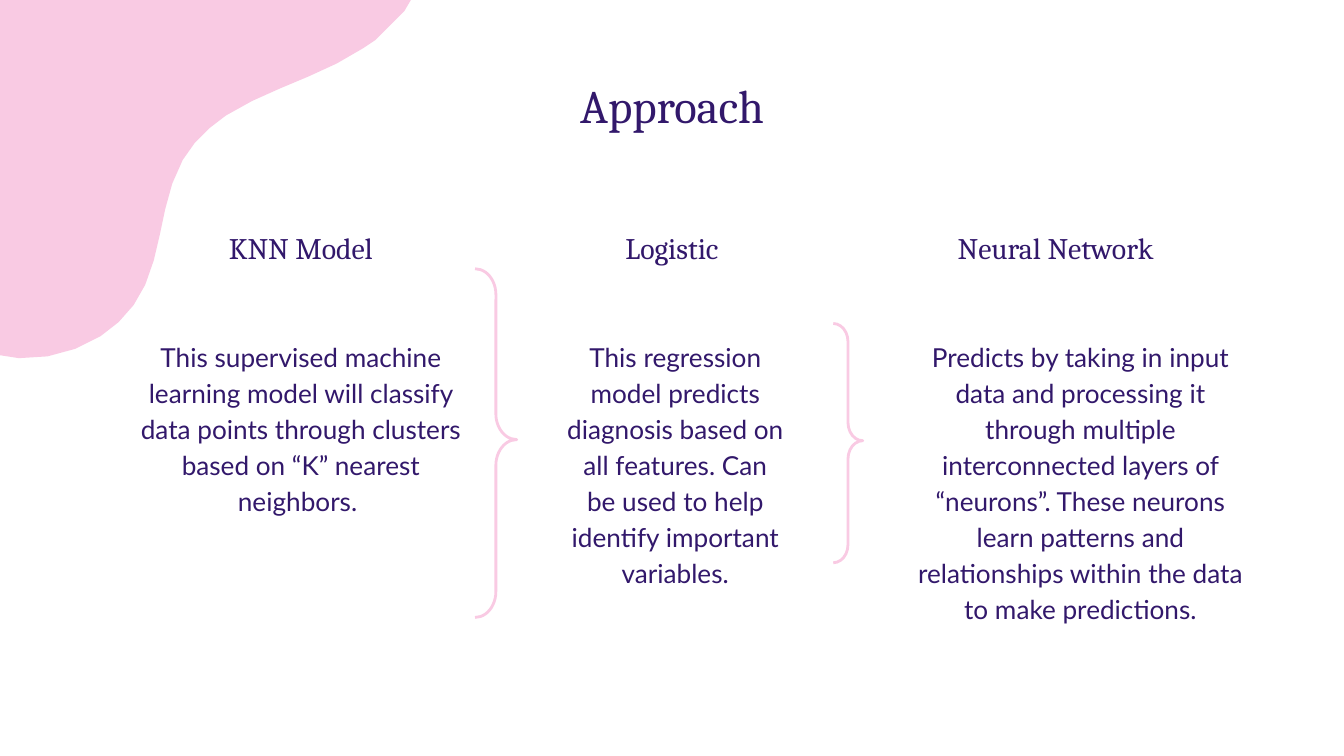
import pptx
import pptx.dml.color
import pptx.enum.shapes
import pptx.enum.text
import pptx.util

Pt = pptx.util.Pt
INDIGO = pptx.dml.color.RGBColor(0x32, 0x18, 0x6B)
PINK = pptx.dml.color.RGBColor(0xF9, 0xCA, 0xE3)
WHITE = pptx.dml.color.RGBColor(0xFF, 0xFF, 0xFF)
SERIF = "Cambria"
SANS = "Lato"
INSET = 7.2

HEADING_TOP, HEADING_WIDTH, HEADING_HEIGHT = 115.9, 153.4, 28.1
BODY_TOP = 173.1

MODELS = [
    ("KNN Model", 84.5,
     "This supervised machine learning model will classify data points "
     "through clusters based on “K” nearest neighbors. ",
     (68, 186.5, 128.2)),
    ("Logistic", 283.3,
     "This regression model predicts diagnosis based on all features. "
     "Can be used to help identify important variables.",
     (296.3, 131, 40.3)),
    ("Neural Network", 488.9,
     "Predicts by taking in input data and processing it through multiple "
     "interconnected layers of “neurons”. These neurons learn patterns and "
     "relationships within the data to make predictions.",
     (481.3, 195.1, 221)),
]

BRACES = [(254.5, 144, 22.3, 186.8), (446.4, 173.3, 15.8, 128.2)]

BLOB_START = (21.6, -168.5)
BLOB_CURVES = [
    (2, (49.7, -187.2), (85.7, -194.4), (119.5, -188.6)),
    (2, (165.6, -180.7), (209.5, -149), (228.2, -105.1)),
    (6, (247, -61.2), (236.9, -5.8), (200.9, 21.6)),
    (1, (198.7, 23), (196.6, 24.5), (194.4, 25.9)),
    (5, (172.1, 41), (143.3, 47.5), (121, 61.9)),
    (3, (111.6, 68.4), (103.7, 75.6), (97.9, 85.7)),
    (5, (86.4, 105.8), (87.1, 131.8), (77.8, 152.6)),
    (3, (72.7, 164.2), (64.1, 173.5), (54, 180)),
    (5, (32.4, 193.7), (3.6, 196.6), (-19.4, 183.6)),
    (2, (-54, 164.9), (-70.6, 115.9), (-53.3, 82.1)),
    (1, (-44.6, 65.5), (-30.2, 52.6), (-25.9, 34.6)),
    (1, (-22.3, 23), (-23.8, 10.1), (-25.2, -2.2)),
    (2, (-31.7, -55.4), (-42.5, -99.4), (-7.9, -142.6)),
    (1, (0.7, -152.6), (10.8, -161.3), BLOB_START),
]


def bezier_point(start, control_1, control_2, end, t):
    u = 1 - t
    return tuple(
        Pt(u**3 * a + 3 * u**2 * t * b + 3 * u * t**2 * c + t**3 * d)
        for a, b, c, d in zip(start, control_1, control_2, end)
    )


def add_blob(slide):
    outline = []
    start = BLOB_START
    for steps, *curve in BLOB_CURVES:
        outline += [bezier_point(start, *curve, step / steps)
                    for step in range(1, steps + 1)]
        start = curve[-1]
    builder = slide.shapes.build_freeform(*map(Pt, BLOB_START))
    builder.add_line_segments(outline[:-1], close=True)
    blob = builder.convert_to_shape()
    blob.shadow.inherit = False
    blob.fill.solid()
    blob.fill.fore_color.rgb = PINK
    blob.line.fill.background()


def add_text(slide, text, left, top, width, height, font_name, size):
    box = slide.shapes.add_textbox(Pt(left), Pt(top), Pt(width), Pt(height))
    frame = box.text_frame
    frame.word_wrap = True
    frame.margin_left = frame.margin_right = Pt(INSET)
    frame.margin_top = frame.margin_bottom = Pt(INSET)
    paragraph = frame.paragraphs[0]
    paragraph.text = text
    paragraph.alignment = pptx.enum.text.PP_ALIGN.CENTER
    paragraph.font.name = font_name
    paragraph.font.size = Pt(size)
    paragraph.font.color.rgb = INDIGO
    return paragraph


def add_model(slide, name, heading_left, description, body_place):
    add_text(slide, name, heading_left, HEADING_TOP,
             HEADING_WIDTH, HEADING_HEIGHT, SERIF, 16)
    left, width, height = body_place
    body = add_text(slide, description, left, BODY_TOP, width, height, SANS, 14)
    body.line_spacing = 1.15
    body.space_after = Pt(16)


def add_brace(slide, left, top, width, height):
    brace = slide.shapes.add_shape(
        pptx.enum.shapes.MSO_SHAPE.RIGHT_BRACE,
        Pt(left), Pt(top), Pt(width), Pt(height))
    brace.adjustments[0] = 0.62
    brace.adjustments[1] = 0.49
    brace.shadow.inherit = False
    brace.fill.background()
    brace.line.color.rgb = PINK
    brace.line.width = Pt(1.5)


def main():
    presentation = pptx.Presentation()
    presentation.slide_width = Pt(720)
    presentation.slide_height = Pt(405)
    slide = presentation.slides.add_slide(presentation.slide_layouts[6])
    slide.background.fill.solid()
    slide.background.fill.fore_color.rgb = WHITE

    add_blob(slide)
    add_text(slide, "Approach", 94.8, 34.2, 530.6, 45.4, SERIF, 25)
    for model in MODELS:
        add_model(slide, *model)
    for brace_place in BRACES:
        add_brace(slide, *brace_place)

    presentation.save("out.pptx")


if __name__ == "__main__":
    main()
